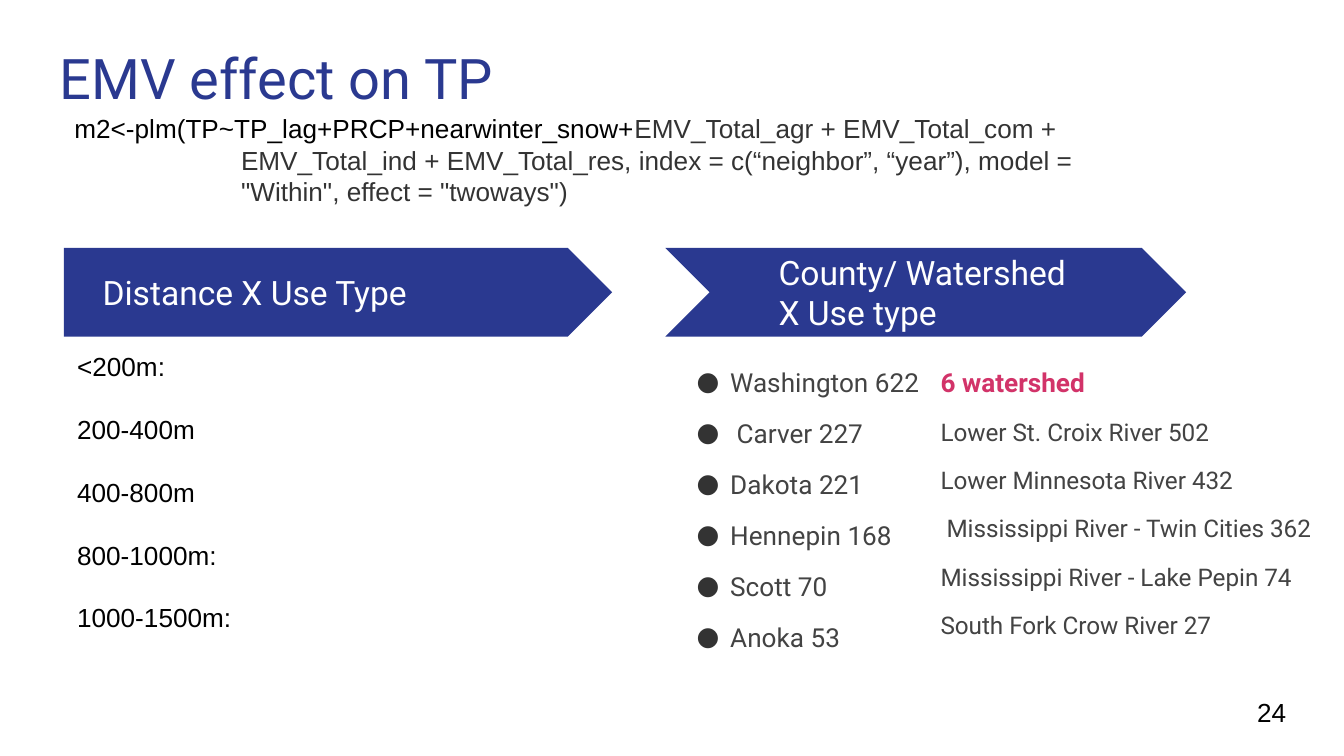
from lxml.etree import SubElement
from pptx import Presentation
from pptx.dml.color import RGBColor
from pptx.enum.shapes import MSO_SHAPE
from pptx.enum.text import MSO_ANCHOR
from pptx.oxml.ns import qn
from pptx.util import Pt

EMU_PER_PX = 4572  # 200 px to the inch
NAVY, PINK, WHITE, BLACK = "2A3990", "D23369", "FFFFFF", "000000"
DARK_GRAY, GRAY = "333333", "434343"


def px(length):
    return length * EMU_PER_PX


def color(hex_code):
    return RGBColor.from_string(hex_code)


def style_font(font, size, face, hex_code, bold=False):
    font.size, font.name, font.bold = Pt(size), face, bold
    font.color.rgb = color(hex_code)


def set_indent(paragraph, left, first):
    properties = paragraph._p.get_or_add_pPr()
    properties.set("marL", str(px(left)))
    properties.set("indent", str(px(first)))
    return properties


def add_bullet(paragraph, face):
    properties = set_indent(paragraph, 100, -50)
    bullet_color = SubElement(properties, qn("a:buClr"))
    SubElement(bullet_color, qn("a:srgbClr"), val=DARK_GRAY)
    SubElement(properties, qn("a:buFont"), typeface=face)
    SubElement(properties, qn("a:buChar"), char="●")


class SlideBuilder:
    heading_face = "Roboto"
    plain_face = "Arial"

    def __init__(self, slide):
        self.slide = slide

    def text(self, box, lines, size, face, hex_code, anchor=MSO_ANCHOR.TOP,
             spacing=1.0, after=0, bulleted=False):
        """Add a text box with one paragraph per line and return its paragraphs."""
        frame = self.slide.shapes.add_textbox(*map(px, box)).text_frame
        frame.word_wrap = True
        frame.vertical_anchor = anchor
        frame.margin_left = frame.margin_right = px(20)
        frame.margin_top = frame.margin_bottom = px(20)
        frame.text = "\n".join(lines)
        for paragraph in frame.paragraphs:
            paragraph.line_spacing = spacing
            paragraph.space_after = Pt(after)
            if bulleted:
                add_bullet(paragraph, face)
            for run in paragraph.runs:
                style_font(run.font, size, face, hex_code)
        return frame.paragraphs

    def title(self, box, wording):
        self.text(box, [wording], 30, self.heading_face, NAVY)

    def banner(self, preset, box, label_box, lines):
        """Add an arrow-shaped heading with its label."""
        arrow = self.slide.shapes.add_shape(preset, *map(px, box))
        arrow.adjustments[0] = 0.5
        arrow.shadow.inherit = False
        arrow.fill.solid()
        arrow.fill.fore_color.rgb = color(NAVY)
        arrow.line.fill.background()
        self.text(label_box, lines, 18, self.heading_face, WHITE, MSO_ANCHOR.MIDDLE)

    def formula(self, box, base_terms, emv_terms, options):
        first, second = self.text(box, [base_terms, options], 14,
                                  self.plain_face, DARK_GRAY)
        first.runs[0].font.color.rgb = color(BLACK)
        set_indent(first, 248, -248)
        set_indent(second, 248, 0)
        for position, terms in enumerate(emv_terms):
            if position:
                first.add_line_break()
            run = first.add_run()
            run.text = terms
            style_font(run.font, 14, self.plain_face, DARK_GRAY)

    def distances(self, box, bands):
        self.text(box, bands, 14, self.plain_face, BLACK, after=16.8)

    def counties(self, box, counts):
        self.text(box, counts, 14, self.heading_face, GRAY,
                  spacing=1.15, after=8, bulleted=True)

    def watersheds(self, box, heading, counts):
        paragraphs = self.text(box, [heading, *counts], 13, self.heading_face, GRAY,
                               spacing=1.15, after=8)
        style_font(paragraphs[0].runs[0].font, 14, self.heading_face, PINK, bold=True)

    def page_number(self, box, number):
        self.text(box, [str(number)], 14, self.plain_face, BLACK, MSO_ANCHOR.MIDDLE)


def main():
    deck = Presentation()
    deck.slide_width, deck.slide_height = px(2000), px(1125)
    builder = SlideBuilder(deck.slides.add_slide(deck.slide_layouts[6]))

    builder.title((69, 45, 1864, 132), "EMV effect on TP")
    builder.banner(MSO_SHAPE.PENTAGON, (95, 369, 816, 132), (133, 401, 608, 68),
                   ["Distance X Use Type"])
    builder.banner(MSO_SHAPE.CHEVRON, (990, 369, 775, 132), (1139, 401, 558, 68),
                   ["County/ Watershed", "X Use type"])
    builder.formula(
        (91, 148, 1952, 234),
        "m2<-plm(TP~TP_lag+PRCP+nearwinter_snow+",
        ["EMV_Total_agr + EMV_Total_com +",
         "EMV_Total_ind + EMV_Total_res, index = c(“neighbor”, “year”), model ="],
        '"Within", effect = "twoways")')
    builder.page_number((1851, 1017, 120, 86), 24)
    builder.distances((95, 502, 608, 570),
                      ["<200m:", "200-400m", "400-800m", "800-1000m:", "1000-1500m:"])
    builder.counties((967, 518, 1054, 570),
                     ["Washington 622", " Carver 227", "Dakota 221",
                      "Hennepin 168", "Scott 70", "Anoka 53"])
    builder.watersheds((1380, 518, 640, 580), "6 watershed",
                       ["Lower St. Croix River 502", "Lower Minnesota River 432",
                        " Mississippi River - Twin Cities 362",
                        "Mississippi River - Lake Pepin 74", "South Fork Crow River 27"])
    deck.save("out.pptx")


if __name__ == "__main__":
    main()
